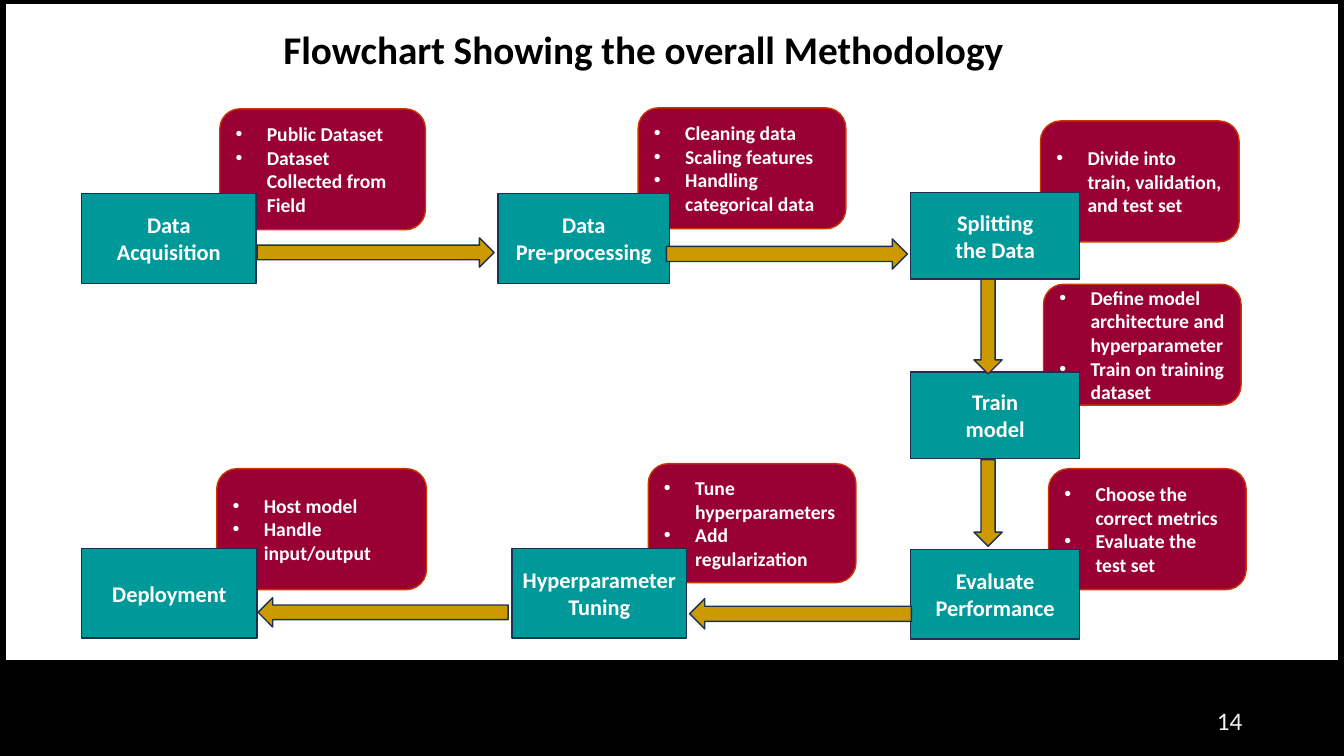
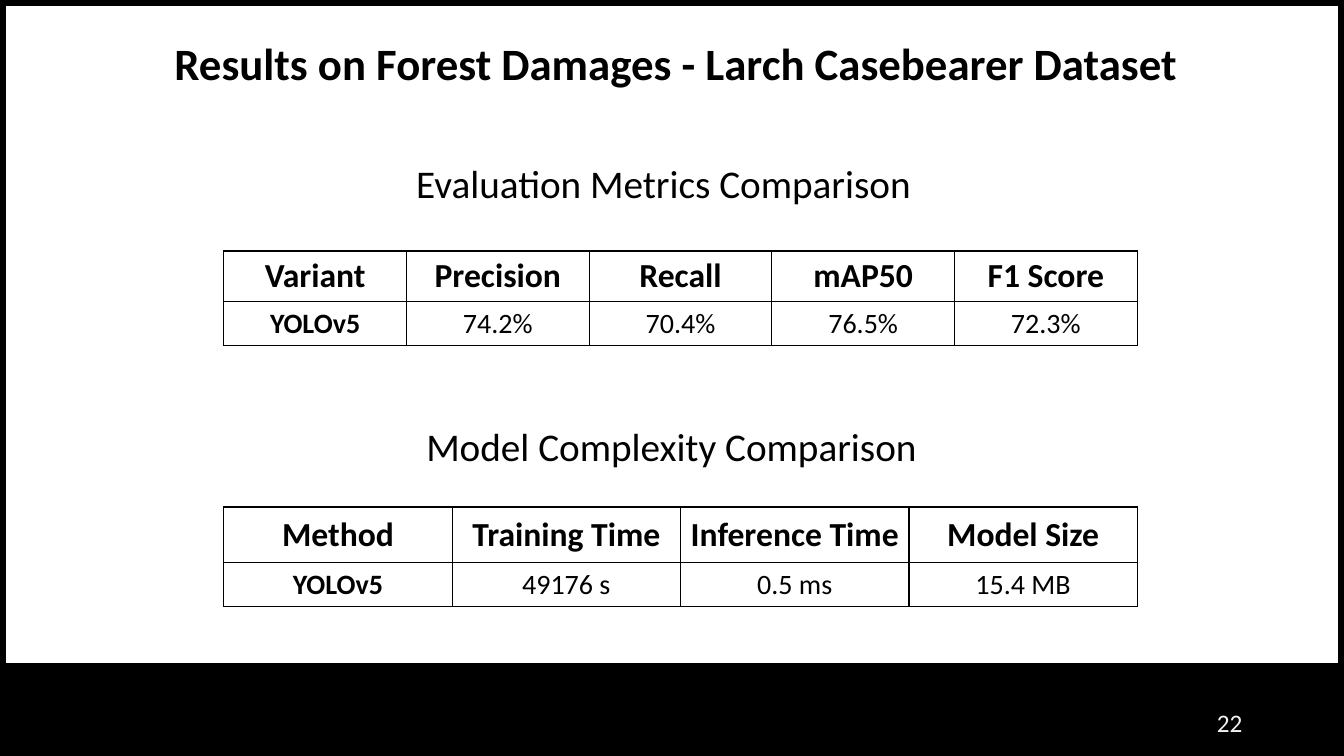
from lxml.etree import SubElement
from pptx import Presentation
from pptx.dml.color import RGBColor
from pptx.enum.shapes import MSO_SHAPE
from pptx.enum.text import MSO_ANCHOR, MSO_AUTO_SIZE, PP_ALIGN
from pptx.oxml.ns import qn
from pptx.util import Inches, Pt

FONT = "Calibri"
BLACK, WHITE, PALE = "000000", "FFFFFF", "F2F2F2"
TEAL, CRIMSON, GOLD = "009999", "990033", "CC9900"
NAVY, RUST = "1C3052", "CC3300"

STEPS = [
    ((0.81, 1.92, 1.73, 0.89), "Data\nAcquisition", (1.37, -0.84, 2.04, 1.2),
     "Public Dataset\nDataset Collected from Field"),
    ((4.94, 1.92, 1.7, 0.89), "Data\nPre-processing", (1.39, -0.85, 2.06, 1.2),
     "Cleaning data\nScaling features\nHandling categorical data"),
    ((9.03, 1.91, 1.68, 0.86), "Splitting\nthe Data", (1.29, -0.71, 1.97, 1.2),
     "Divide into train, validation, and test set"),
    ((9.03, 3.69, 1.68, 0.86), "Train\nmodel", (1.32, -0.87, 1.96, 1.2),
     "Define model architecture and hyperparameter\nTrain on training dataset"),
    ((9.03, 5.45, 1.68, 0.89), "Evaluate Performance", (1.37, -0.8, 1.96, 1.2),
     "Choose the correct metrics\nEvaluate the test set"),
    ((5.08, 5.44, 1.73, 0.89), "Hyperparameter Tuning", (1.35, -0.84, 2.06, 1.18),
     "Tune hyperparameters\nAdd regularization"),
    ((0.81, 5.44, 1.74, 0.89), "Deployment", (1.34, -0.79, 2.08, 1.2),
     "Host model\nHandle input/output"),
]

ARROWS = [
    (MSO_SHAPE.RIGHT_ARROW, (2.55, 2.36, 2.35, 0.29)),
    (MSO_SHAPE.RIGHT_ARROW, (6.61, 2.37, 2.39, 0.3)),
    (MSO_SHAPE.DOWN_ARROW, (9.66, 2.77, 0.28, 0.94)),
    (MSO_SHAPE.DOWN_ARROW, (9.66, 4.56, 0.28, 0.86)),
    (MSO_SHAPE.LEFT_ARROW, (6.84, 5.94, 2.2, 0.3)),
    (MSO_SHAPE.LEFT_ARROW, (2.56, 5.93, 2.48, 0.29)),
]

TABLE_LEFT, TABLE_WIDTH = 2.22, 9.06
METRICS = [("Variant", "Precision", "Recall", "mAP50", "F1 Score"),
           ("YOLOv5", "74.2%", "70.4%", "76.5%", "72.3%")]
COMPLEXITY = [("Method", "Training Time", "Inference Time", "Model Size"),
              ("YOLOv5", "49176 s", "0.5 ms", "15.4 MB")]


def color(value):
    """Turn a hex string into a colour."""
    return RGBColor.from_string(value)


def inches(box):
    """Turn left, top, width and height into lengths."""
    return [Inches(length) for length in box]


def write(frame, text, size, ink, bold=False, align=PP_ALIGN.LEFT):
    """Fill a text frame and format each of its runs."""
    frame.text = text
    for para in frame.paragraphs:
        para.alignment = align
        for span in para.runs:
            span.font.name = FONT
            span.font.size = Pt(size)
            span.font.bold = bold
            span.font.color.rgb = color(ink)


def add_bullet(para):
    """Give a paragraph a white hanging bullet."""
    properties = para._p.get_or_add_pPr()
    properties.set("marL", str(Inches(0.31)))
    properties.set("indent", str(-Inches(0.31)))
    tint = SubElement(properties, qn("a:buClr"))
    SubElement(tint, qn("a:srgbClr"), val=WHITE)
    SubElement(properties, qn("a:buFont"), typeface="Arial")
    SubElement(properties, qn("a:buChar"), char="•")


def add_block(page, kind, box, fill, line):
    """Draw a filled preset shape with a thin outline."""
    block = page.shapes.add_shape(kind, *inches(box))
    block.shadow.inherit = False
    block.fill.solid()
    block.fill.fore_color.rgb = color(fill)
    block.line.color.rgb = color(line)
    block.line.width = Pt(1)
    block.text_frame.word_wrap = True
    return block


def add_label(page, box, text, size, ink, align=PP_ALIGN.LEFT, anchor=MSO_ANCHOR.TOP):
    """Place a plain line of text."""
    frame = page.shapes.add_textbox(*inches(box)).text_frame
    frame.word_wrap = True
    frame.vertical_anchor = anchor
    write(frame, text, size, ink, align=align)


def add_page(deck, title, title_box, title_size, number, top):
    """Add a page with its title, black frame and page number."""
    page = deck.slides.add_slide(deck.slide_layouts[5])
    heading = page.shapes.title
    heading.left, heading.top, heading.width, heading.height = inches(title_box)
    frame = heading.text_frame
    frame.auto_size = MSO_AUTO_SIZE.NONE
    frame.vertical_anchor = MSO_ANCHOR.TOP
    write(frame, title, title_size, BLACK, bold=True)
    bands = [(0, top + 6.58, 13.33, 0.94), (0, top, 13.33, 0.05),
             (0, top + 0.02, 0.05, 6.56), (13.28, top + 0.02, 0.05, 6.56)]
    for band in bands:
        add_block(page, MSO_SHAPE.RECTANGLE, band, BLACK, BLACK)
    add_label(page, (9.42, top + 6.97, 3, 0.4), number, 18, PALE,
              PP_ALIGN.RIGHT, MSO_ANCHOR.MIDDLE)
    return page


def add_step(page, box, label, note_box, notes):
    """Draw a step over the note that sits at an offset from it."""
    left, top = box[:2]
    shift, rise, width, height = note_box
    note = add_block(page, MSO_SHAPE.ROUNDED_RECTANGLE,
                     (left + shift, top + rise, width, height), CRIMSON, RUST)
    write(note.text_frame, notes, 14, WHITE, bold=True)
    for para in note.text_frame.paragraphs:
        add_bullet(para)
    step = add_block(page, MSO_SHAPE.RECTANGLE, box, TEAL, NAVY)
    write(step.text_frame, label, 16, WHITE, bold=True, align=PP_ALIGN.CENTER)


def add_borders(cell):
    """Rule all four sides of a cell in black."""
    properties = cell._tc.get_or_add_tcPr()
    for position, side in enumerate(("lnL", "lnR", "lnT", "lnB")):
        line = properties.makeelement(qn(f"a:{side}"), {"w": str(Pt(1))})
        fill = SubElement(line, qn("a:solidFill"))
        SubElement(fill, qn("a:srgbClr"), val=BLACK)
        properties.insert(position, line)


def add_results(page, top, heights, rows):
    """Draw a ruled table with equal columns."""
    count = len(rows[0])
    box = (TABLE_LEFT, top, TABLE_WIDTH, sum(heights))
    table = page.shapes.add_table(len(rows), count, *inches(box)).table
    for column in table.columns:
        column.width = Inches(TABLE_WIDTH / count)
    for row_index, values in enumerate(rows):
        table.rows[row_index].height = Inches(heights[row_index])
        for column_index, value in enumerate(values):
            cell = table.cell(row_index, column_index)
            cell.fill.background()
            cell.vertical_anchor = MSO_ANCHOR.MIDDLE
            is_header = row_index == 0
            write(cell.text_frame, value, 24 if is_header else 20, BLACK,
                  bold=is_header or column_index == 0, align=PP_ALIGN.CENTER)
            add_borders(cell)


def build_flowchart(deck):
    """Build the methodology flowchart."""
    page = add_page(deck, "Flowchart Showing the overall Methodology",
                    (2.71, 0.2, 7.44, 0.57), 28, "14", -0.02)
    for step in STEPS:
        add_step(page, *step)
    for kind, box in ARROWS:
        add_block(page, kind, box, GOLD, NAVY)


def build_results(deck):
    """Build the page with the two result tables."""
    page = add_page(deck, "Results on Forest Damages - Larch Casebearer Dataset",
                    (1.63, 0.3, 10.24, 0.64), 32, "22", 0)
    add_label(page, (4.03, 1.53, 5.28, 0.57), "Evaluation Metrics Comparison", 28, BLACK)
    add_results(page, 2.49, (0.5, 0.44), METRICS)
    add_label(page, (4.13, 4.14, 5.23, 0.57), "Model Complexity Comparison", 28, BLACK)
    add_results(page, 5.03, (0.55, 0.44), COMPLEXITY)


def main():
    """Build the deck and save it."""
    deck = Presentation()
    deck.slide_width, deck.slide_height = Inches(13.33), Inches(7.5)
    build_flowchart(deck)
    build_results(deck)
    deck.save("out.pptx")


if __name__ == "__main__":
    main()
